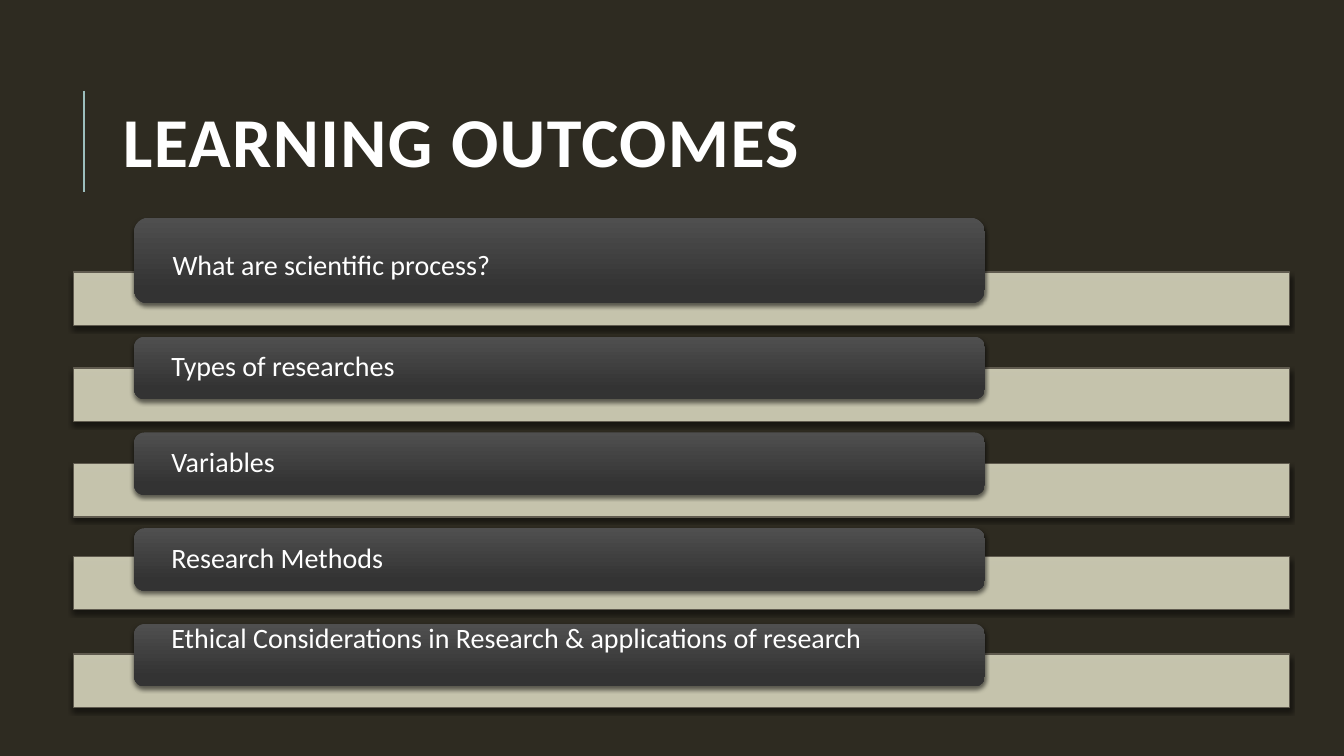
import pptx
import pptx.util
import pptx.dml.color
import pptx.enum.shapes
import pptx.enum.text
import pptx.oxml
import pptx.oxml.ns

Pt = pptx.util.Pt
SHAPES = pptx.enum.shapes.MSO_SHAPE
ANCHOR = pptx.enum.text.MSO_ANCHOR
NS = pptx.oxml.ns.nsdecls("a")


def rgb(value):
    return pptx.dml.color.RGBColor.from_string(value)


class Deck:
    font = "Calibri"
    white, dark, accent = "FFFFFF", "2E2B21", "9CBEBD"
    bar_fill, bar_line = "D8D6BE", "605B4F"
    pill_top, pill_bottom = "4F4F4F", "333333"

    def __init__(self):
        self.prs = pptx.Presentation()
        self.prs.slide_width, self.prs.slide_height = Pt(960), Pt(540)
        self.s = self.prs.slides.add_slide(self.prs.slide_layouts[5])
        fill = self.s.background.fill
        fill.solid()
        fill.fore_color.rgb = rgb(self.dark)

    def add_text(self, p, text, size, spacing, bold=False):
        p.alignment = pptx.enum.text.PP_ALIGN.LEFT
        p.line_spacing = spacing
        r = p.add_run()
        r.text = text
        r.font.name, r.font.size, r.font.bold = self.font, Pt(size), bold
        r.font.color.rgb = rgb(self.white)
        return r

    def title(self, text, x, y, w, h):
        sp = self.s.shapes.title
        sp.left, sp.top, sp.width, sp.height = Pt(x), Pt(y), Pt(w), Pt(h)
        tf = sp.text_frame
        tf.auto_size = pptx.enum.text.MSO_AUTO_SIZE.NONE
        tf.vertical_anchor = ANCHOR.MIDDLE
        r = self.add_text(tf.paragraphs[0], text, 50, 0.8, bold=True)
        r.font._element.set("spc", "100")

    def rule(self, x, y1, y2):
        line = self.s.shapes.add_connector(
            pptx.enum.shapes.MSO_CONNECTOR.STRAIGHT, Pt(x), Pt(y1), Pt(x), Pt(y2))
        line.line.color.rgb = rgb(self.accent)
        line.line.width = Pt(1.5)
        line._element.spPr.append(pptx.oxml.parse_xml(f"<a:effectLst {NS}/>"))

    def shadowed(self, kind, x, y, w, h):
        sp = self.s.shapes.add_shape(kind, Pt(x), Pt(y), Pt(w), Pt(h))
        sp.shadow.inherit = False
        effects = sp._element.spPr.find(pptx.oxml.ns.qn("a:effectLst"))
        effects.append(pptx.oxml.parse_xml(
            f'<a:outerShdw {NS} blurRad="{Pt(3)}" dist="{Pt(2)}" dir="5400000"'
            ' rotWithShape="0"><a:srgbClr val="000000"><a:alpha val="55000"/>'
            '</a:srgbClr></a:outerShdw>'))
        return sp

    def bar(self, x, y, w, h):
        sp = self.shadowed(SHAPES.RECTANGLE, x, y, w, h)
        sp.fill.solid()
        sp.fill.fore_color.rgb = rgb(self.bar_fill)
        color = sp._element.spPr.find(".//" + pptx.oxml.ns.qn("a:srgbClr"))
        color.append(pptx.oxml.parse_xml(f'<a:alpha {NS} val="90000"/>'))
        sp.line.color.rgb = rgb(self.bar_line)
        sp.line.width = Pt(1)

    def pill(self, text, x, y, w, h, inset_top, inset_bottom):
        sp = self.shadowed(SHAPES.ROUNDED_RECTANGLE, x, y, w, h)
        sp.fill.gradient()
        sp.fill.gradient_angle = 270
        first, last = sp.fill.gradient_stops
        first.color.rgb, first.position = rgb(self.pill_top), 0
        last.color.rgb, last.position = rgb(self.pill_bottom), 0.84
        sp.line.fill.background()
        tf = sp.text_frame
        tf.word_wrap = True
        tf.vertical_anchor = ANCHOR.MIDDLE
        tf.margin_left = tf.margin_right = Pt(24.5)
        tf.margin_top, tf.margin_bottom = Pt(inset_top), Pt(inset_bottom)
        self.add_text(tf.paragraphs[0], text, 20, 0.9)


def main():
    deck = Deck()

    # Heading with its vertical rule
    deck.rule(59.8, 64.8, 136.8)
    deck.title("LEARNING OUTCOMES", 80.6, 46, 765.4, 118)

    # Outcomes: text, bar top, text insets above and below
    outcomes = [
        ("What are scientific process?", 194.4, 8, 0),
        ("Types of researches", 262.8, 0, 0),
        ("Variables", 331.2, 0, 0),
        ("Research Methods", 397.4, 0, 0),
        ("Ethical Considerations in Research & applications of research", 467.3, 0, 22),
    ]
    pitch, pill_h, extra = 68.4, 44.6, 16.6
    for i, (text, bar_top, above, below) in enumerate(outcomes):
        deck.bar(52.6, bar_top, 868.3, 38.2)
        # The first pill is taller; all pill bottoms are evenly spaced
        h = pill_h + (extra if i == 0 else 0)
        bottom = 216.7 + i * pitch
        deck.pill(text, 95.8, bottom - h, 607.7, h, above, below)

    deck.prs.save("out.pptx")


if __name__ == "__main__":
    main()
